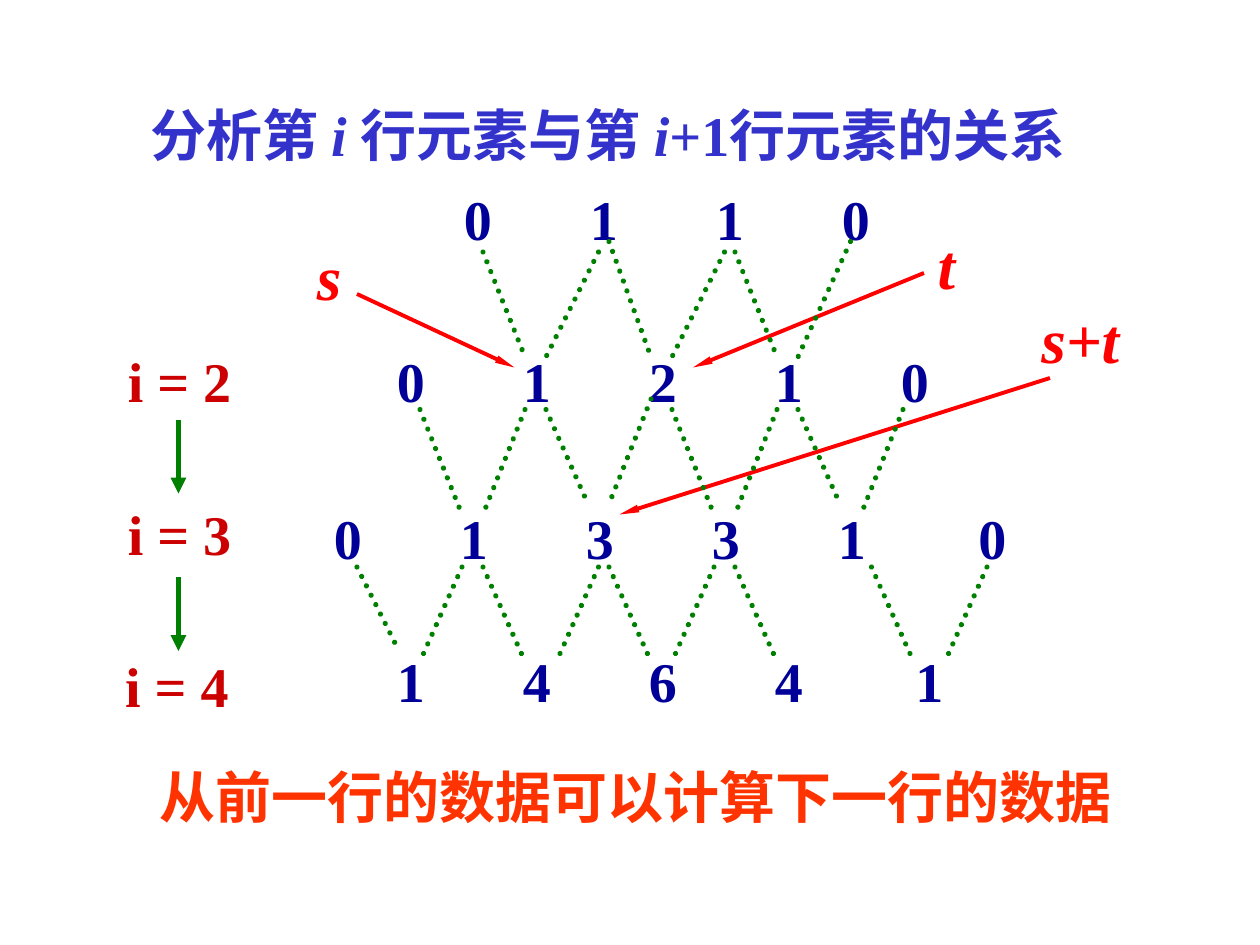
from lxml.etree import SubElement as Sub
from pptx import Presentation
from pptx.dml.color import RGBColor as RGB
from pptx.enum.dml import MSO_LINE as Dash
from pptx.enum.shapes import MSO_CONNECTOR as Conn
from pptx.oxml.ns import qn
from pptx.util import Pt

PX = 9525
STEP = 96
BLUE = RGB(0x33, 0x33, 0xCC)
NAVY = RGB(0x00, 0x00, 0x99)
BRICK = RGB(0xCC, 0x00, 0x00)
RED = RGB(0xFF, 0x00, 0x00)
FLAME = RGB(0xFF, 0x33, 0x00)
GREEN = RGB(0x00, 0x80, 0x00)


class Board:
    def __init__(self, deck):
        self.slide = deck.slides.add_slide(deck.slide_layouts[6])
        self.font = {"name": "Times New Roman", "bold": True}

    def text(self, x, y, w, parts, color, size=32, slant=False):
        h = 67 if size > 32 else 61
        box = self.slide.shapes.add_textbox(x * PX, y * PX, w * PX, h * PX)
        box.text_frame.word_wrap = True
        par = box.text_frame.paragraphs[0]
        for part in parts:
            run = par.add_run()
            run.text = part
            form = {**self.font, "size": Pt(size), "italic": slant}
            for key, val in form.items():
                setattr(run.font, key, val)
            run.font.color.rgb = color
            slant = not slant
        return par

    def row(self, x, y, nums, shift=0):
        count = len(nums)
        par = self.text(x, y, count * STEP + 20, ["\t".join(nums)], NAVY)
        tabs = Sub(par._p.get_or_add_pPr(), qn("a:tabLst"))
        for i in range(1, count):
            extra = shift if i == count - 1 else 0
            Sub(tabs, qn("a:tab"), pos=str((i * STEP + extra) * PX), algn="l")

    def line(self, ends, color, width):
        link = self.slide.shapes.add_connector(
            Conn.STRAIGHT, *[v * PX for v in ends])
        link.line.color.rgb = color
        link.line.width = Pt(width)
        Sub(link._element.spPr, qn("a:effectLst"))
        return link.line

    def arrow(self, ends, color, width, wide, long):
        line = self.line(ends, color, width)
        Sub(line._ln, qn("a:tailEnd"), type="triangle", w=wide, len=long)

    def dots(self, ends):
        line = self.line(ends, GREEN, 3)
        line.dash_style = Dash.ROUND_DOT
        line._ln.set("cap", "rnd")


TITLE = ["分析第 ", "i ", "行元素与第 ", "i", "+1行元素的关系"]
STAGES = [("i = 2", 88, 259), ("i = 3", 88, 376), ("i = 4", 86, 492)]
ROWS = [
    (344, 136, "0110", 0),
    (293, 259, "01210", 0),
    (245, 379, "013310", 11),
    (293, 488, "14641", 11),
]
MARKS = [
    ("s", 232, 176, (272, 224, 392, 280)),
    ("t", 705, 168, (704, 208, 528, 280)),
    ("s+t", 784, 224, (800, 288, 472, 392)),
]
LINKS = [
    ((368, 560), 32, 192, 272),
    ((464,), 32, 184, 272),
    ((456, 552), -40, 192, 272),
    ((648,), -40, 184, 272),
    ((320, 512), 32, 312, 392),
    ((416, 608), 32, 312, 384),
    ((400, 592, 688), -32, 312, 392),
    ((496,), -32, 304, 384),
    ((272,), 32, 432, 496),
    ((368, 464, 560, 664), 32, 432, 504),
    ((352, 456, 544, 752), -32, 432, 504),
]


def main():
    deck = Presentation()
    deck.slide_width, deck.slide_height = 960 * PX, 720 * PX
    board = Board(deck)
    board.text(105, 72, 800, TITLE, BLUE)
    board.text(112, 576, 768, ["从前一行的数据可以计算下一行的数据"], FLAME)
    for label, x, y in STAGES:
        board.text(x, y, 110, [label], BRICK)
    for top in (320, 440):
        board.arrow((136, top, 136, top + 56), GREEN, 3, "med", "med")
    for x, y, nums, shift in ROWS:
        board.row(x, y, nums, shift)
    for label, x, y, ends in MARKS:
        board.arrow(ends, RED, 2.25, "sm", "lg")
        board.text(x, y, 22 + 24 * len(label), [label], RED, 36, True)
    for starts, run, top, base in LINKS:
        for x in starts:
            board.dots((x, top, x + run, base))
    deck.save("out.pptx")


if __name__ == "__main__":
    main()
